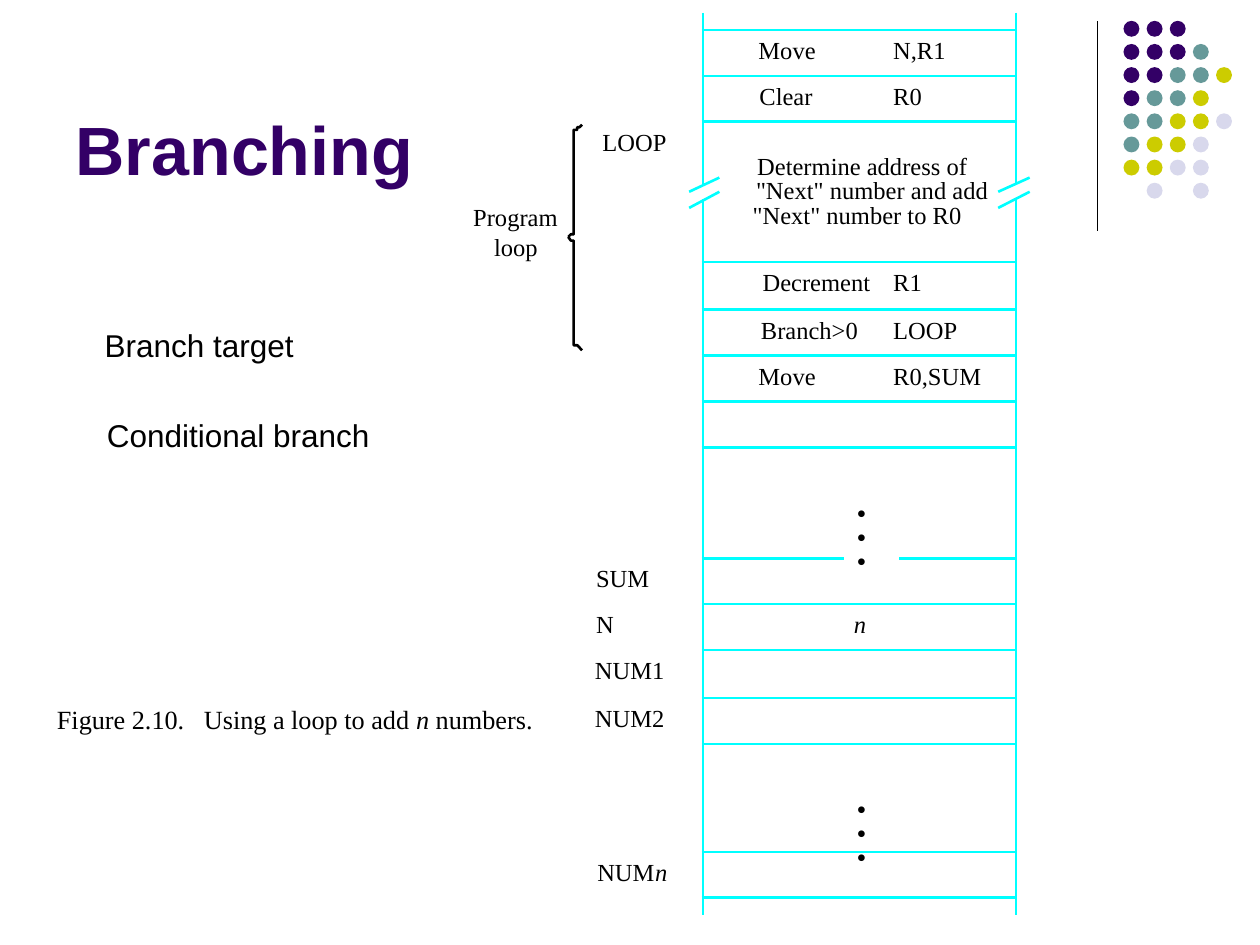
"""Build the slide on branching, with a program loop laid out in memory."""
from dataclasses import dataclass
from itertools import accumulate
from typing import Any, NamedTuple

from lxml.etree import SubElement
from pptx import Presentation
from pptx.dml.color import RGBColor
from pptx.enum.shapes import MSO_CONNECTOR, MSO_SHAPE
from pptx.enum.text import MSO_ANCHOR, MSO_AUTO_SIZE, PP_ALIGN
from pptx.oxml.ns import qn
from pptx.util import Pt


@dataclass(frozen=True)
class Theme:
    """Colours, fonts and type sizes of the slide."""
    ink: str = "000000"
    paper: str = "FFFFFF"
    memory: str = "00FFFF"
    purple: str = "330066"
    teal: str = "669999"
    lime: str = "CCCC00"
    lilac: str = "D8D8EC"
    sans: str = "Arial"
    serif: str = "Times New Roman"
    title: float = 39
    note: float = 18
    ellipsis: float = 16
    caption: float = 15
    code: float = 14


class Span(NamedTuple):
    """A stretch of text in one style."""
    text: str
    italic: bool = False


class Label(NamedTuple):
    """Text with its left edge and width."""
    left: float
    width: float
    spans: tuple[Span, ...]


class MemoryRow(NamedTuple):
    """One stretch of memory and the labels on its first line."""
    height: float
    labels: tuple[Label, ...] = ()


class Rail(NamedTuple):
    """A side of the memory column and the extent of its break marks."""
    x: float
    break_left: float
    break_right: float


def plain(left: float, width: float, text: str) -> Label:
    """Return a label with a single upright span."""
    return Label(left, width, (Span(text),))


THEME = Theme()
WORD = 26.2
MEMORY_TOP, MEMORY_LEFT, MEMORY_RIGHT = 17.2, 401, 581
OPERAND = 510.4
LABEL_DROP, LABEL_SLACK = 2.9, 1.2
MEMORY = (
    MemoryRow(WORD, (plain(433.4, 33, "Move"), plain(OPERAND, 30.2, "N,R1"))),
    MemoryRow(WORD, (plain(434, 30.2, "Clear"), plain(OPERAND, 16.6, "R0"))),
    MemoryRow(80.1, (plain(344.2, 36.7, "LOOP"),)),
    MemoryRow(27.3, (plain(435.8, 62, "Decrement"), plain(OPERAND, 16.6, "R1"))),
    MemoryRow(WORD, (plain(434.8, 55.4, "Branch>0"), plain(OPERAND, 36.7, "LOOP"))),
    MemoryRow(WORD, (plain(433.4, 33, "Move"), plain(OPERAND, 50.4, "R0,SUM"))),
    MemoryRow(WORD),
    MemoryRow(63.4),
    MemoryRow(WORD, (plain(340.6, 30.2, "SUM"),)),
    MemoryRow(WORD, (plain(340.6, 10, "N"), Label(488, 7.2, (Span("n", True),)))),
    MemoryRow(27.5, (plain(339.9, 39.6, "NUM1"),)),
    MemoryRow(WORD, (plain(339.9, 39.6, "NUM2"),)),
    MemoryRow(61.7),
    MemoryRow(WORD, (plain(341.3, 33, "NUM"), Label(374.4, 7.2, (Span("n", True),)))),
)
LOOP_TEXT = (
    (86.4, plain(432.7, 120.2, "Determine address of")),
    (100.2, plain(432, 132.5, '"Next" number and add')),
    (114.5, plain(430.1, 119.5, '"Next" number to R0')),
    (115.6, plain(270.4, 48.2, "Program")),
    (132.6, plain(282.3, 25.2, "loop")),
)
NOTES = (
    (182.9, plain(52.7, 122.4, "Branch target")),
    (234.2, plain(54, 164.2, "Conditional branch")),
)
CAPTION = Label(32.5, 272.2, (
    Span("Figure 2.10.\tUsing a loop to add "), Span("n", True), Span(" numbers.")))
RAILS = (Rail(401.8, 393.8, 411.1), Rail(580.5, 570.4, 588.4))
BRACE_HALVES = (
    ((332.6, 71.3), (331.2, 72.7), (329.8, 72.7), (329.8, 74.2), (327.8, 74.2),
     (327.8, 133.9), (326.2, 133.9), (324.7, 135.4)),
    ((332.6, 200.2), (331.2, 198.7), (329.8, 197.3), (327.8, 197.3),
     (327.8, 137.5), (326.2, 137.5), (324.7, 135.4)),
)
DOT_ROWS = ("PPP", "PPPT", "PPTTY", "PTTY", "TTYYL", "TYYL", "YYLL", " L L")
DOT_COLOURS = {"P": THEME.purple, "T": THEME.teal, "Y": THEME.lime, "L": THEME.lilac}
DOT_LEFT, DOT_TOP, DOT_PITCH, DOT_SIZE = 642, 11.9, 13.22, 9.1


def apply(target: Any, values: dict[str, Any]) -> None:
    """Set each named attribute on the target."""
    for name, value in values.items():
        setattr(target, name, value)


def style_font(font: Any, face: str, size: float, colour: str = THEME.ink, **extra: Any) -> None:
    """Give a font its face, size, colour and any further traits."""
    apply(font, {"name": face, "size": Pt(size), **extra})
    font.color.rgb = RGBColor.from_string(colour)


def draw_line(slide: Any, start: tuple, end: tuple, colour: str, width: float = 1.5) -> None:
    """Draw a straight line without a shadow."""
    line = slide.shapes.add_connector(
        MSO_CONNECTOR.STRAIGHT, *(Pt(value) for value in (*start, *end)))
    line.line.color.rgb = RGBColor.from_string(colour)
    line.line.width = Pt(width)
    SubElement(line._element.spPr, qn("a:effectLst"))


def draw_label(slide: Any, label: Label, top: float, face: str = THEME.serif,
               size: float = THEME.code, inset: tuple = (0, 0), tab: float = 0) -> None:
    """Draw one line of text in a box fitted to it."""
    across, down = map(Pt, inset)
    box = slide.shapes.add_textbox(
        Pt(label.left), Pt(top), Pt(label.width + LABEL_SLACK), Pt(size * 1.17) + 2 * down)
    frame = box.text_frame
    apply(frame, {"margin_left": across, "margin_right": across, "margin_top": down,
                  "margin_bottom": down, "word_wrap": False,
                  "auto_size": MSO_AUTO_SIZE.SHAPE_TO_FIT_TEXT})
    paragraph = frame.paragraphs[0]
    if tab:
        stops = SubElement(paragraph._p.get_or_add_pPr(), qn("a:tabLst"))
        SubElement(stops, qn("a:tab"), pos=str(Pt(tab)), algn="l")
    for span in label.spans:
        run = paragraph.add_run()
        run.text = span.text
        style_font(run.font, face, size, italic=span.italic)


def draw_shape(slide: Any, kind: Any, box: tuple, fill: str) -> Any:
    """Draw a flat preset shape."""
    shape = slide.shapes.add_shape(kind, *map(Pt, box))
    shape.shadow.inherit = False
    shape.fill.solid()
    shape.fill.fore_color.rgb = RGBColor.from_string(fill)
    shape.line.fill.background()
    return shape


def draw_ellipsis(slide: Any, top: float) -> None:
    """Draw three stacked dots over a gap in memory."""
    cover = draw_shape(slide, MSO_SHAPE.RECTANGLE, (482.4, top, 31, 72.7), THEME.paper)
    cover.line.color.rgb = RGBColor.from_string(THEME.paper)
    cover.line.width = Pt(0.75)
    frame = cover.text_frame
    apply(frame, {"margin_top": Pt(30), "margin_bottom": 0, "vertical_anchor": MSO_ANCHOR.TOP})
    frame.text = "\n".join("•" * 3)
    for paragraph in frame.paragraphs:
        apply(paragraph, {"alignment": PP_ALIGN.LEFT, "line_spacing": Pt(13.7)})
        style_font(paragraph.font, THEME.serif, THEME.ellipsis)


def draw_brace_half(slide: Any, points: tuple) -> None:
    """Draw half of the loop brace as an open outline."""
    first, *rest = [(Pt(x), Pt(y)) for x, y in points]
    builder = slide.shapes.build_freeform(*first)
    builder.add_line_segments(rest, close=False)
    brace = builder.convert_to_shape()
    brace.shadow.inherit = False
    brace.fill.background()
    brace.line.color.rgb = RGBColor.from_string(THEME.ink)
    brace.line.width = Pt(1.5)


def draw_ornament(slide: Any) -> None:
    """Draw the corner line and its field of dots."""
    draw_line(slide, (627.1, 12.2), (627.1, 131.8), THEME.ink, 0.75)
    for row, keys in enumerate(DOT_ROWS):
        for column, key in enumerate(keys):
            if key in DOT_COLOURS:
                box = (DOT_LEFT + column * DOT_PITCH, DOT_TOP + row * DOT_PITCH,
                       DOT_SIZE, DOT_SIZE)
                draw_shape(slide, MSO_SHAPE.OVAL, box, DOT_COLOURS[key])


def draw_title(slide: Any, text: str) -> None:
    """Place and format the title."""
    title = slide.shapes.title
    apply(title, {"left": Pt(36), "top": Pt(9.4), "width": Pt(594), "height": Pt(102.2)})
    apply(title.text_frame, {"text": text, "vertical_anchor": MSO_ANCHOR.BOTTOM,
                             "auto_size": MSO_AUTO_SIZE.NONE})
    paragraph = title.text_frame.paragraphs[0]
    paragraph.alignment = PP_ALIGN.LEFT
    style_font(paragraph.font, THEME.sans, THEME.title, THEME.purple, bold=True)


def draw_memory(slide: Any) -> None:
    """Draw the memory column with its rows, breaks and labels."""
    for rail in RAILS:
        for start, end in ((7.2, 105.1), (113.8, 522.7)):
            draw_line(slide, (rail.x, start), (rail.x, end), THEME.memory)
        for high, low in ((101.5, 109.6), (109.6, 118.8)):
            draw_line(slide, (rail.break_right, high), (rail.break_left, low), THEME.memory)
    tops = list(accumulate((row.height for row in MEMORY), initial=MEMORY_TOP))
    for index, top in enumerate(tops):
        if index == len(tops) - 2:
            for ellipsis_top in (258.5, 427.7):
                draw_ellipsis(slide, ellipsis_top)
        draw_line(slide, (MEMORY_LEFT, top), (MEMORY_RIGHT, top), THEME.memory)
    for row, top in zip(MEMORY, tops):
        for label in row.labels:
            draw_label(slide, label, top + LABEL_DROP)


def main() -> None:
    """Build and save the slide."""
    deck = Presentation()
    apply(deck, {"slide_width": Pt(720), "slide_height": Pt(540)})
    slide = deck.slides.add_slide(deck.slide_layouts[5])
    draw_ornament(slide)
    draw_title(slide, "Branching")
    draw_memory(slide)
    for top, label in LOOP_TEXT:
        draw_label(slide, label, top)
    for half in BRACE_HALVES:
        draw_brace_half(slide, half)
    for top, label in NOTES:
        draw_label(slide, label, top, THEME.sans, THEME.note, (7.2, 3.6))
    draw_label(slide, CAPTION, 401.8, size=THEME.caption, tab=84)
    deck.save("out.pptx")


if __name__ == "__main__":
    main()
